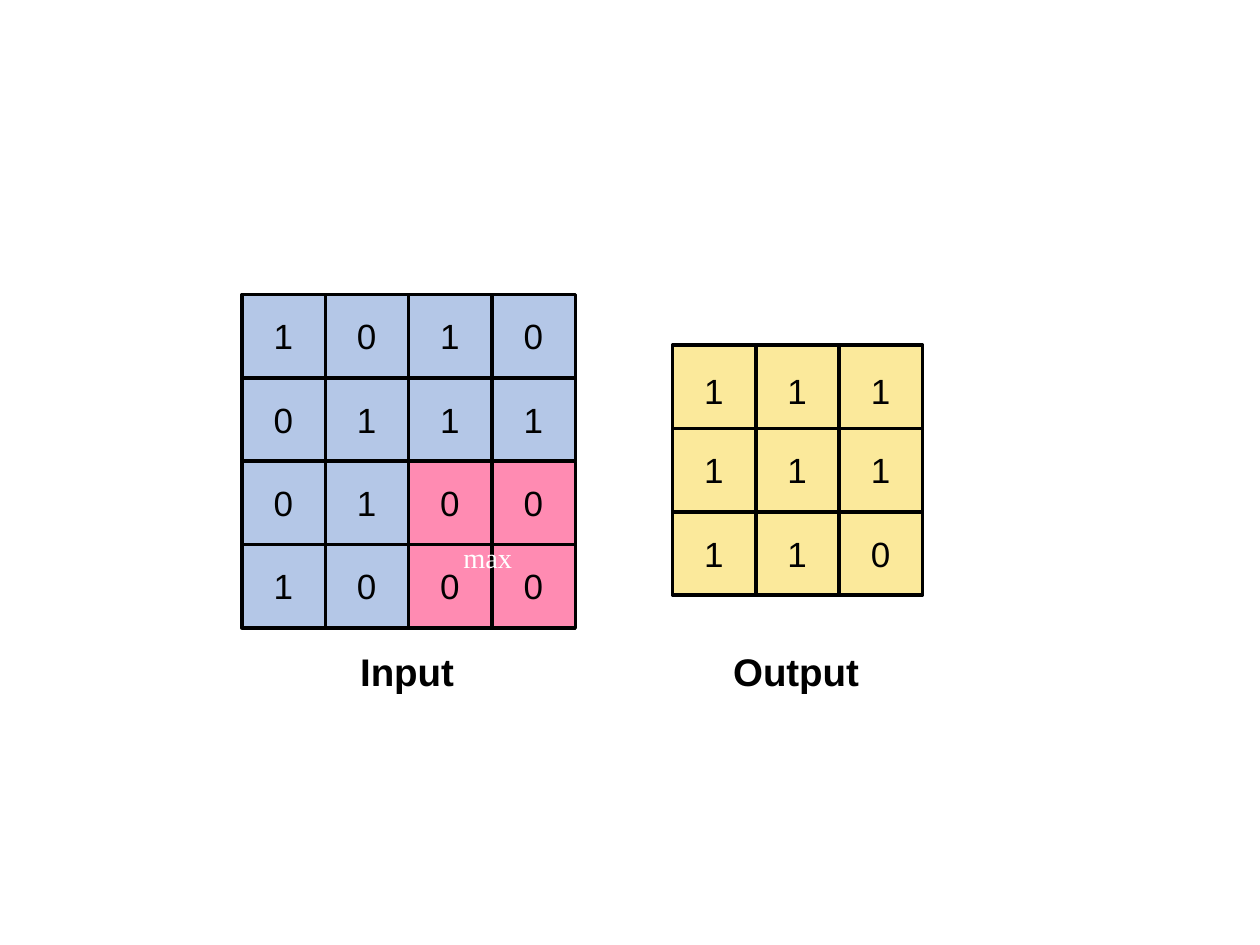
from pptx import Presentation
from pptx.dml.color import RGBColor
from pptx.enum.shapes import MSO_SHAPE
from pptx.enum.text import MSO_AUTO_SIZE
from pptx.util import Cm, Pt

RECTANGLE = MSO_SHAPE.RECTANGLE
FIT_TEXT = MSO_AUTO_SIZE.SHAPE_TO_FIT_TEXT

CELL = 1.68
DIGIT_WIDTH, DIGIT_HEIGHT = 0.91, 1.12
BLUE, YELLOW, PINK = "B4C7E7", "FBE99B", "FF8BB2"
BLACK, WHITE = "000000", "FFFFFF"


def color(hex_string):
    return RGBColor.from_string(hex_string)


def add_text(shapes, text, left, top, width, height, size,
             font="Arial", ink=BLACK, bold=False):
    box = shapes.add_textbox(Cm(left), Cm(top), Cm(width), Cm(height))
    frame = box.text_frame
    frame.text = text
    frame.word_wrap = False
    frame.auto_size = FIT_TEXT
    run = frame.paragraphs[0].runs[0]
    run.font.name = font
    run.font.size = Pt(size)
    run.font.bold = bold
    run.font.color.rgb = color(ink)
    return run


prs = Presentation()
prs.slide_width, prs.slide_height = Cm(25.4), Cm(19.05)
slide = prs.slides.add_slide(prs.slide_layouts[6])

# Matrices: left, top, cell fill, rows, pooling window, drop of the first row's digits
window = {(2, 2), (2, 3), (3, 2), (3, 3)}
matrices = [
    (4.88, 5.94, BLUE, ["1010", "0111", "0100", "1000"], window, 0),
    (13.56, 6.96, YELLOW, ["111", "111", "110"], set(), 0.08),
]

for left, top, fill, rows, highlighted, first_drop in matrices:
    cells = [(r, c) for r in range(len(rows)) for c in range(len(rows[r]))]

    # Squares, with the highlighted window in front
    plain = [cell for cell in cells if cell not in highlighted]
    for members, member_fill in ((plain, fill), (sorted(highlighted), PINK)):
        if not members:
            continue
        squares = slide.shapes.add_group_shape().shapes
        for r, c in members:
            square = squares.add_shape(RECTANGLE, Cm(left + c * CELL),
                                       Cm(top + r * CELL), Cm(CELL), Cm(CELL))
            square.shadow.inherit = False
            square.fill.solid()
            square.fill.fore_color.rgb = color(member_fill)
            square.line.color.rgb = color(BLACK)
            square.line.width = Pt(2)

    # Digits centred on the squares
    digits = slide.shapes.add_group_shape().shapes
    for r, c in cells:
        drop = first_drop if r == 0 else 0
        add_text(digits, rows[r][c],
                 left + c * CELL + (CELL - DIGIT_WIDTH) / 2,
                 top + r * CELL + (CELL - DIGIT_HEIGHT) / 2 + drop,
                 DIGIT_WIDTH, DIGIT_HEIGHT, 20)

# Captions
for caption, left, width in (("Input", 7.01, 2.44), ("Output", 14.53, 3.1)):
    add_text(slide.shapes, caption, left, 12.93, width, 1.19, 22, bold=True)

# Pooling operation, set as a subscript
operation = add_text(slide.shapes, "max", 9.09, 10.11, 1.65, 1.07, 28,
                     font="Times New Roman", ink=WHITE)
operation.font._element.set("baseline", "-25000")

prs.save("out.pptx")
